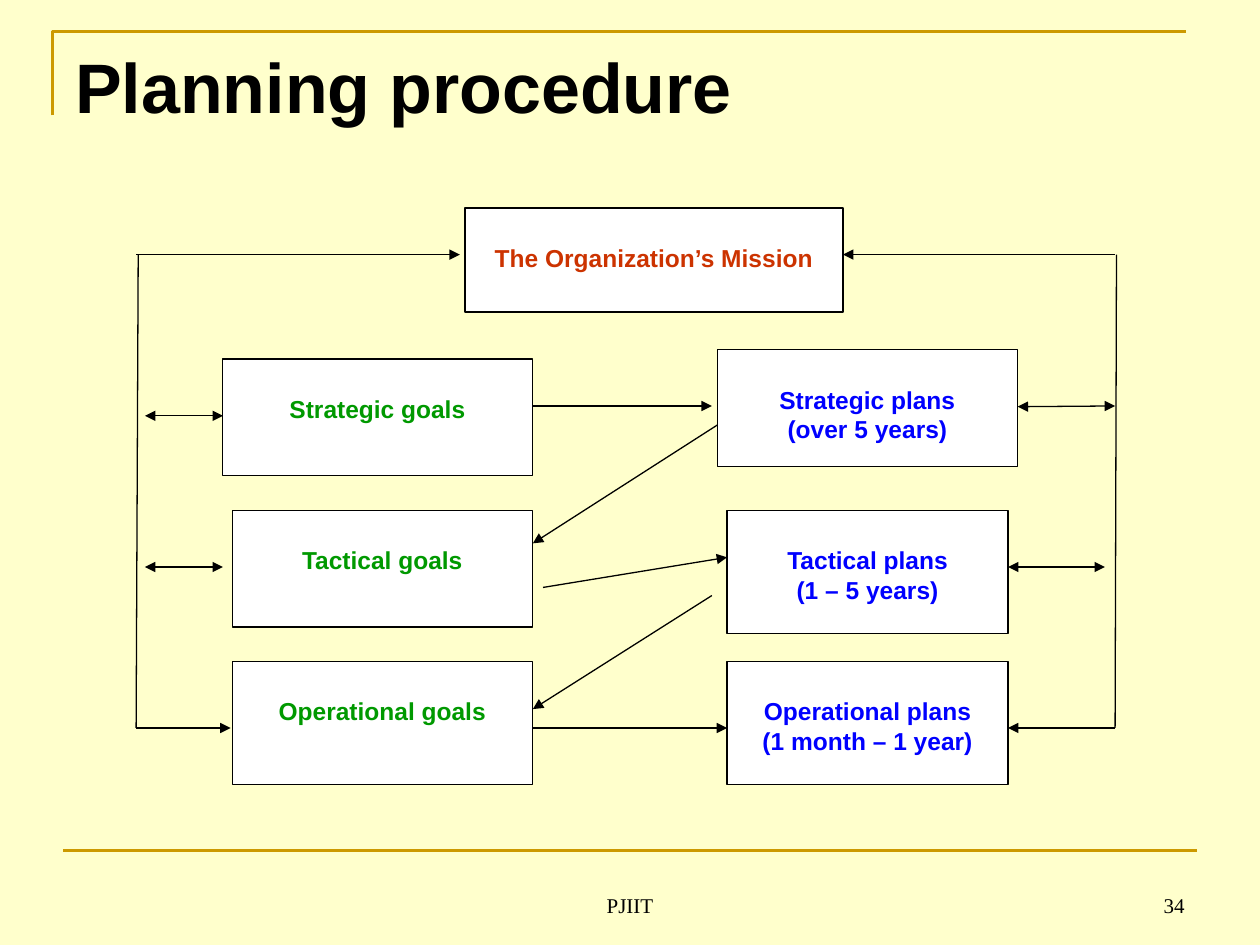
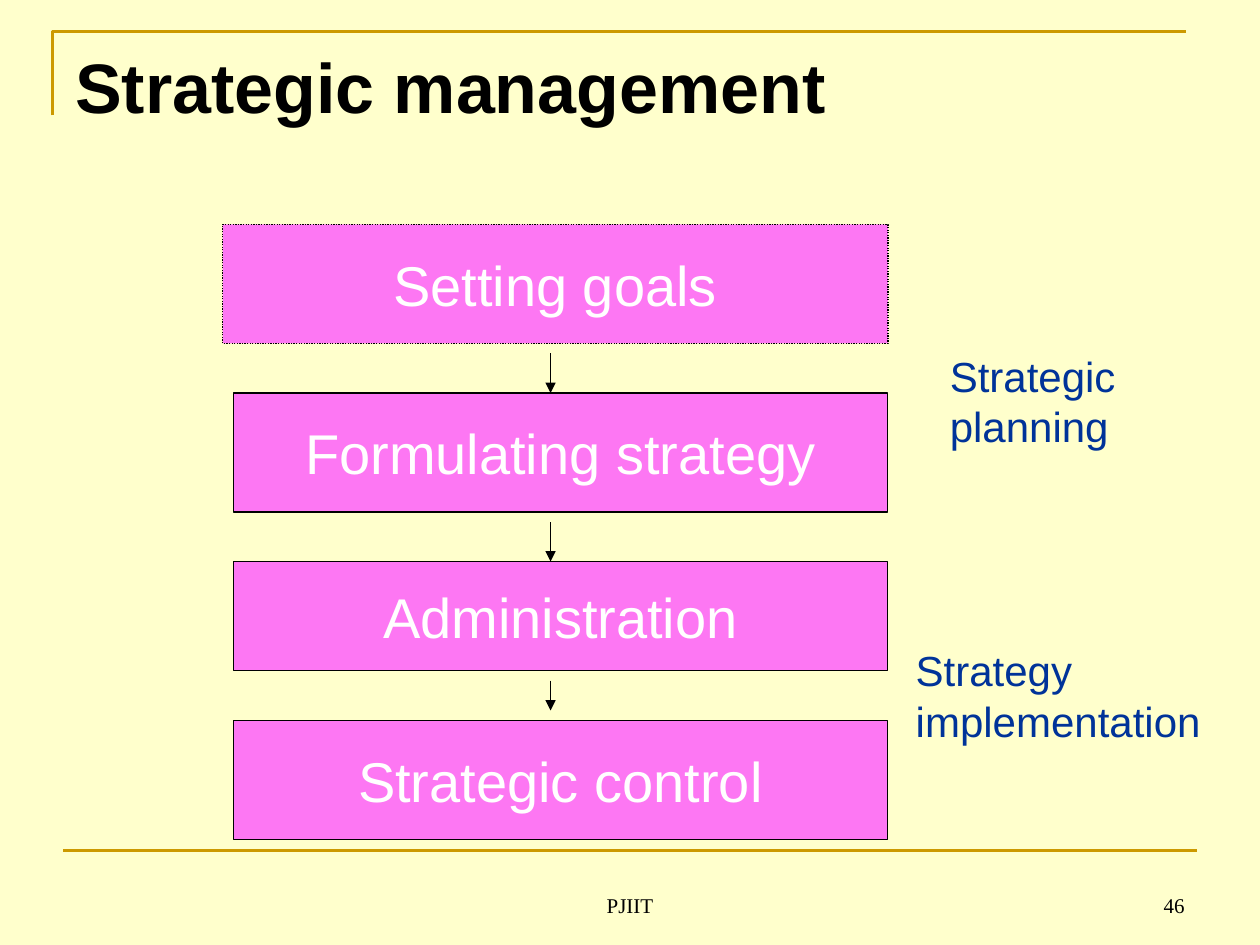
import pptx
import pptx.dml.color
import pptx.enum.dml
import pptx.enum.shapes
import pptx.enum.text
import pptx.oxml.ns
import pptx.util
from lxml import etree

Pt = pptx.util.Pt
qn = pptx.oxml.ns.qn
Align = pptx.enum.text.PP_ALIGN
Anchor = pptx.enum.text.MSO_ANCHOR

# Shared look
CREAM, GOLD, BLACK, WHITE = "FFFFCC", "CC9900", "000000", "FFFFFF"
RED, GREEN, BLUE, NAVY, PINK = "CC3300", "009900", "0000FF", "003399", "FD77F3"

TITLE = {"name": "Arial", "size": Pt(40), "bold": True}
FOOT = {"name": "Times New Roman", "size": Pt(12)}
NODE = {"name": "Arial", "size": Pt(14), "bold": True}
STEP = {"name": "Arial", "size": Pt(32)}
LABEL = {"name": "Arial", "size": Pt(24)}


def paint(hue):
    return pptx.dml.color.RGBColor.from_string(hue)


def apply(item, values):
    for name, value in values.items():
        setattr(item, name, value)


def fill(item, hue):
    item.fill.solid()
    item.fill.fore_color.rgb = paint(hue)


def stroke(item, hue, width):
    item.line.color.rgb = paint(hue)
    item.line.width = Pt(width)


def write(shape, text, font, hue, align=Align.LEFT, **frame):
    """Put each line of the text in its own paragraph."""
    body = shape.text_frame
    apply(body, {"word_wrap": True, "vertical_anchor": Anchor.TOP, **frame})
    body.text = text
    for para in body.paragraphs:
        para.alignment = align
        apply(para.font, font)
        para.font.color.rgb = paint(hue)


def add_text(slide, area, text, font, hue=BLACK, **style):
    box = slide.shapes.add_textbox(*map(Pt, area))
    write(box, text, font, hue, **style)


def add_box(slide, area, back, text, font, hue, **style):
    kind = pptx.enum.shapes.MSO_SHAPE.RECTANGLE
    box = slide.shapes.add_shape(kind, *map(Pt, area))
    box.shadow.inherit = False
    fill(box, back)
    stroke(box, BLACK, 0.75)
    write(box, text, font, hue, Align.CENTER, **style)
    return box


def add_line(slide, start, end, ends="", hue=BLACK, width=0.75):
    """Draw a line; ends may hold '<' (at start) and '>' (at end)."""
    kind = pptx.enum.shapes.MSO_CONNECTOR.STRAIGHT
    link = slide.shapes.add_connector(kind, *map(Pt, (*start, *end)))
    stroke(link, hue, width)
    props = link.element.spPr
    for mark, tag in (("<", "a:headEnd"), (">", "a:tailEnd")):
        if mark in ends:
            tip = etree.SubElement(props.find(qn("a:ln")), qn(tag))
            tip.set("type", "triangle")
    etree.SubElement(props, qn("a:effectLst"))


def add_page(deck, title, number):
    """Start a slide with background, gold rules, title and footer."""
    slide = deck.slides.add_slide(deck.slide_layouts[6])
    fill(slide.background, CREAM)
    path = slide.shapes.build_freeform(Pt(30), Pt(66))
    path.add_line_segments([(Pt(30), Pt(18)), (Pt(678), Pt(18))], close=False)
    corner = path.convert_to_shape()
    corner.shadow.inherit = False
    corner.fill.background()
    stroke(corner, GOLD, 1.5)
    add_line(slide, (36, 486), (684, 486), hue=GOLD, width=1.5)
    add_text(slide, (36, 21.6, 648, 90), title, TITLE)
    low = {"vertical_anchor": Anchor.BOTTOM}
    add_text(slide, (246, 492, 228, 36), "PJIIT", FOOT, align=Align.CENTER, **low)
    add_text(slide, (516, 492, 168, 36), number, FOOT, align=Align.RIGHT, **low)
    return slide


def draw_plan(deck):
    slide = add_page(deck, "Planning procedure", "34")

    # Mission, goals and plans
    nodes = [
        ((265.7, 118.8, 216, 59.5), RED, "The Organization’s Mission"),
        ((127.2, 205.2, 177.1, 66.7), GREEN, "Strategic goals"),
        ((132.7, 291.6, 171.6, 66.7), GREEN, "Tactical goals"),
        ((132.7, 378, 171.6, 70.3), GREEN, "Operational goals"),
        ((409.9, 199.7, 171.6, 66.7), BLUE, "Strategic plans\n(over 5 years)"),
        ((415.5, 291.6, 160.6, 70.3), BLUE, "Tactical plans\n(1 – 5 years)"),
        ((415.5, 378, 160.6, 70.3), BLUE, "Operational plans\n(1 month – 1 year)"),
    ]
    for area, hue, text in nodes:
        add_box(slide, area, WHITE, text, NODE, hue, margin_top=Pt(20))

    # Side rails that tie every level to the mission
    top, base = 145.5, 416
    rails = [
        ((262.8, top), (77.8, top), "<"),
        ((79, top), (77.8, base), ""),
        ((77.8, base), (131.8, base), ">"),
        ((481.7, top), (637.2, top), "<"),
        ((638, top), (637.2, base), ""),
        ((576, base), (637.2, base), "<"),
        ((82.8, 237.6), (127.4, 237.6), "<>"),
        ((82.8, 324), (127.4, 324), "<>"),
        ((581.5, 232.4), (637.2, 232), "<>"),
        ((576, 324), (631.4, 324), "<>"),
    ]
    # Zigzag from goals to plans and down a level
    steps = [
        ((304.5, 232), (406.8, 232), ">"),
        ((409.9, 242.9), (304.5, 310.5), ">"),
        ((310.3, 335.7), (415.5, 318.5), ">"),
        ((406.8, 340.3), (304.5, 405.2), ">"),
        ((304.5, base), (415.5, base), ">"),
    ]
    for start, end, ends in rails + steps:
        add_line(slide, start, end, ends)


def draw_steps(deck):
    slide = add_page(deck, "Strategic management", "46")

    # Stack of steps
    right = 507.4
    stack = [
        (127.2, 128.2, 68, "Setting goals"),
        (133.4, 224.6, 68, "Formulating strategy"),
        (133.4, 320.9, 62.3, "Administration"),
        (133.4, 411.8, 68, "Strategic control"),
    ]
    boxes = [
        add_box(slide, (left, top, right - left, tall), PINK, text, STEP, WHITE,
                word_wrap=False, vertical_anchor=Anchor.MIDDLE)
        for left, top, tall, text in stack
    ]
    boxes[0].line.dash_style = pptx.enum.dml.MSO_LINE.ROUND_DOT

    # Arrows between steps
    for top, end in ((202, 224.6), (298.3, 320.9), (389, 406)):
        add_line(slide, (314.6, top), (314.6, end), ">")

    # Phase names
    add_text(slide, (535.7, 196.6, 124.6, 65.5), "Strategic planning", LABEL, NAVY)
    add_text(slide, (516.2, 365, 193, 65.5), "Strategy implementation", LABEL, NAVY)


def main():
    deck = pptx.Presentation()
    apply(deck, {"slide_width": Pt(720), "slide_height": Pt(540)})
    draw_plan(deck)
    draw_steps(deck)
    deck.save("out.pptx")


if __name__ == "__main__":
    main()
